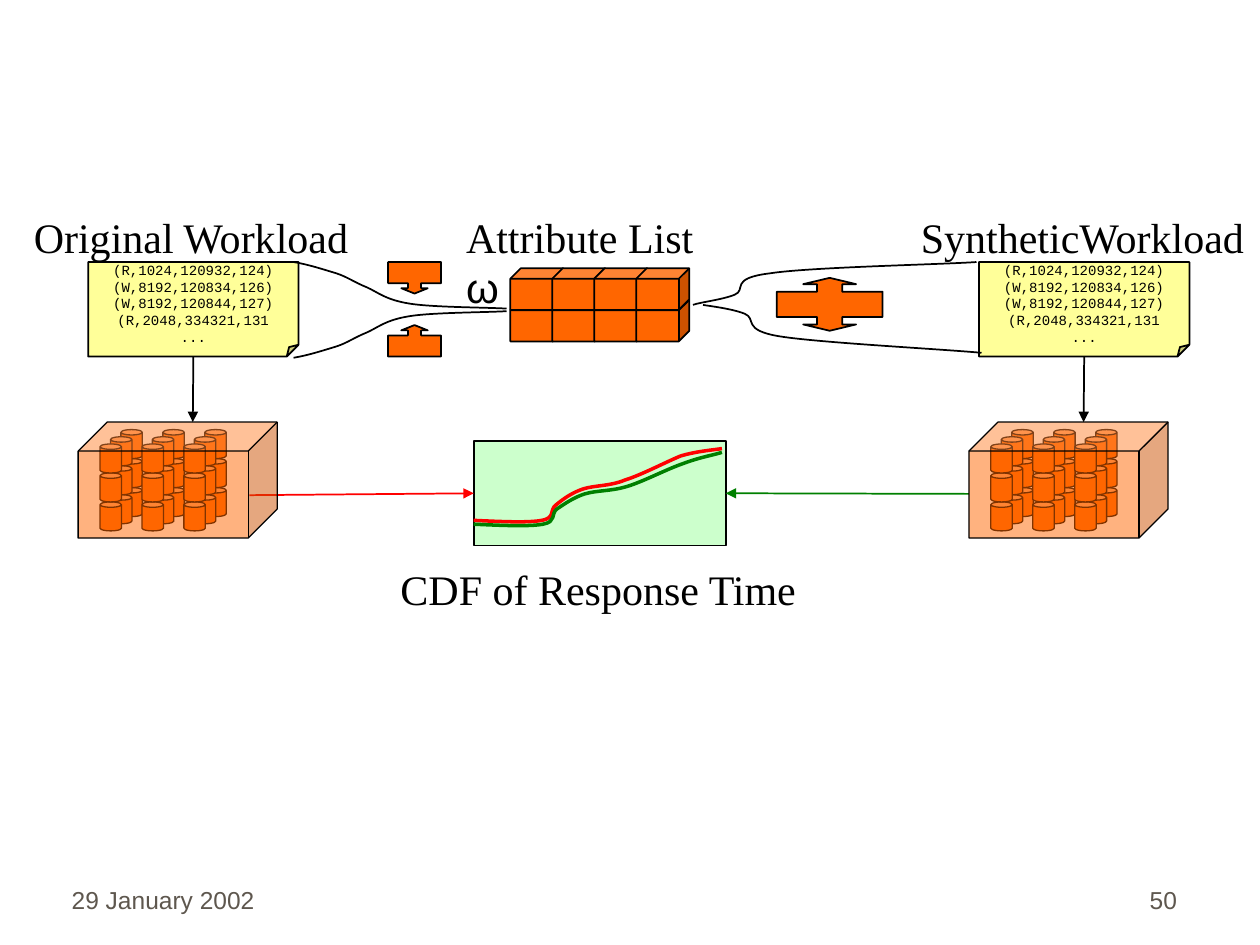
from dataclasses import dataclass
from itertools import product

from lxml.etree import SubElement
from pptx import Presentation
from pptx.dml.color import RGBColor
from pptx.enum.shapes import MSO_CONNECTOR, MSO_SHAPE
from pptx.enum.text import MSO_ANCHOR, PP_ALIGN
from pptx.oxml.ns import qn
from pptx.util import Inches, Pt


@dataclass(frozen=True)
class Theme:
    ink: str = "000000"
    orange: str = "FF6600"
    note: str = "FFFF99"
    graph: str = "CCFFCC"
    original: str = "FF0000"
    synthetic: str = "008000"
    footer: str = "5E574E"
    serif: str = "Times New Roman"
    sans: str = "Arial"
    mono: str = "Courier New"
    label_size: float = 24
    footer_size: float = 14
    trace_size: float = 8
    thin: float = 0.75
    line: float = 1
    curve: float = 2


THEME = Theme()
SYNTHETIC_SHIFT = 7.07
TRACE = ["(R,1024,120932,124)", "(W,8192,120834,126)",
         "(W,8192,120844,127)", "(R,2048,334321,131", "..."]

# Each curve lists a start point, then two handles and an end point per segment.
ORIGINAL_CDF = [
    (3.76, 4.13), (3.98, 4.14), (4.19, 4.15), (4.3, 4.13), (4.41, 4.11),
    (4.36, 4.05), (4.41, 4.01), (4.47, 3.96), (4.54, 3.91), (4.63, 3.88),
    (4.73, 3.85), (4.84, 3.86), (4.96, 3.81), (5.09, 3.77), (5.28, 3.67),
    (5.4, 3.62), (5.53, 3.58), (5.68, 3.57), (5.73, 3.56)]
SYNTHETIC_CDF = [
    (3.76, 4.16), (3.98, 4.17), (4.2, 4.18), (4.31, 4.16), (4.42, 4.14),
    (4.37, 4.08), (4.42, 4.04), (4.48, 4), (4.55, 3.95), (4.64, 3.92),
    (4.74, 3.89), (4.85, 3.9), (4.98, 3.86), (5.11, 3.82), (5.3, 3.72),
    (5.42, 3.68), (5.55, 3.63), (5.67, 3.61), (5.73, 3.59)]
FUNNEL_TOP = [
    (2.33, 2.08), (2.45, 2.1), (2.57, 2.14), (2.67, 2.17), (2.76, 2.2),
    (2.81, 2.24), (2.91, 2.28), (3, 2.32), (3.06, 2.38), (3.25, 2.41),
    (3.43, 2.44), (3.86, 2.44), (4.02, 2.45)]
FUNNEL_BOTTOM = [(x, 4.92 - y) for x, y in FUNNEL_TOP]
SPREAD_TOP = [
    (5.5, 2.42), (5.55, 2.4), (5.73, 2.38), (5.83, 2.34), (5.93, 2.3),
    (5.78, 2.21), (6.11, 2.17), (6.43, 2.12), (7.48, 2.1), (7.75, 2.08)]
SPREAD_BOTTOM = [
    (5.58, 2.42), (5.64, 2.43), (5.81, 2.45), (5.91, 2.49), (6.01, 2.53),
    (5.88, 2.62), (6.19, 2.67), (6.5, 2.72), (7.46, 2.77), (7.79, 2.8)]


def color(code):
    return RGBColor.from_string(code)


def style(shape, fill, line_width, line_color=THEME.ink):
    shape.shadow.inherit = False
    if fill:
        shape.fill.solid()
        shape.fill.fore_color.rgb = color(fill)
    else:
        shape.fill.background()
    shape.line.color.rgb = color(line_color)
    shape.line.width = Pt(line_width)


def add_block(shapes, kind, left, top, width, height, fill=THEME.orange,
              line_width=THEME.line):
    block = shapes.add_shape(kind, Inches(left), Inches(top), Inches(width), Inches(height))
    style(block, fill, line_width)
    return block


def set_adjustments(shape, **values):
    """Write the named shape guides, also those python-pptx does not list."""
    guides = shape._element.xpath("./p:spPr/a:prstGeom")[0].get_or_add_avLst()
    for guide in list(guides):
        guides.remove(guide)
    for name, value in values.items():
        SubElement(guides, qn("a:gd"), name=name, fmla=f"val {round(value * 100000)}")


def set_font(font, name, size, code):
    font.name, font.size, font.color.rgb = name, Pt(size), color(code)


def add_label(shapes, text, left, top, width, wrap=False):
    box = shapes.add_textbox(Inches(left), Inches(top), Inches(width), Inches(0.5))
    box.text_frame.word_wrap = wrap
    para = box.text_frame.paragraphs[0]
    para.add_run().text = text
    set_font(para.font, THEME.serif, THEME.label_size, THEME.ink)
    return para


def add_footer(page, text, left, align):
    box = page.shapes.add_textbox(Inches(left), Inches(6.81), Inches(2.08), Inches(0.5))
    frame = box.text_frame
    frame.word_wrap = True
    frame.vertical_anchor = MSO_ANCHOR.BOTTOM
    para = frame.paragraphs[0]
    para.text, para.alignment, para.space_before = text, align, Pt(8.8)
    set_font(para.font, THEME.sans, THEME.footer_size, THEME.footer)


def add_outline(page, points, close):
    start, *rest = [(Inches(x), Inches(y)) for x, y in points]
    builder = page.shapes.build_freeform(*start)
    builder.add_line_segments(rest, close=close)
    return builder.convert_to_shape()


def add_curve(page, points, line_color=THEME.ink, width=THEME.line):
    """Draw a Bezier curve by merging each three line steps into one cubic step."""
    curve = add_outline(page, points, close=False)
    style(curve, None, width, line_color)
    steps = curve._element.xpath(".//a:lnTo")
    for first, second, third in zip(steps[::3], steps[1::3], steps[2::3]):
        first.tag = qn("a:cubicBezTo")
        for step in (second, third):
            first.append(step[0])
            step.getparent().remove(step)


def add_expand_arrow(page, center_x=6.585, center_y=2.415):
    quarter = [(0, 0.21), (0.21, 0.16), (0.1, 0.16), (0.1, 0.1), (0.42, 0.1)]
    right = [(x, -y) for x, y in quarter] + quarter[::-1]
    ring = right + [(-x, y) for x, y in right[-2:0:-1]]
    arrow = add_outline(page, [(center_x + x, center_y + y) for x, y in ring], close=True)
    style(arrow, THEME.orange, THEME.line)


def add_arrow(page, start, end, line_color=THEME.ink):
    ends = [Inches(value) for value in (*start, *end)]
    arrow = page.shapes.add_connector(MSO_CONNECTOR.STRAIGHT, *ends)
    arrow.line.color.rgb = color(line_color)
    arrow.line.width = Pt(THEME.line)
    SubElement(arrow.line._get_or_add_ln(), qn("a:tailEnd"), type="triangle")
    SubElement(arrow._element.spPr, qn("a:effectLst"))
    return arrow


def add_disk_array(page, left):
    """Stack 3 x 3 x 3 disks, bottom and back first, inside a see-through cube."""
    shapes = page.shapes.add_group_shape().shapes
    for level, depth, column in product(range(3), repeat=3):
        add_block(shapes, MSO_SHAPE.CAN,
                  left + 0.34 + column * 0.333 - depth * 0.083,
                  3.87 - level * 0.23 + depth * 0.057,
                  0.17, 0.23, line_width=THEME.thin)
    case = add_block(shapes, MSO_SHAPE.CUBE, left, 3.35, 1.58, 0.92, line_width=THEME.thin)
    SubElement(case._element.xpath("./p:spPr/a:solidFill/a:srgbClr")[0],
               qn("a:alpha"), val="50000")


def add_workload(page, title, title_left, title_width, note_left, wrap=False):
    shapes = page.shapes.add_group_shape().shapes
    note = add_block(shapes, MSO_SHAPE.FOLDED_CORNER, note_left, 2.08, 1.67, 0.75, THEME.note)
    set_adjustments(note, adj=0.125)
    frame = note.text_frame
    frame.word_wrap = False
    frame.vertical_anchor = MSO_ANCHOR.MIDDLE
    frame.text = "\n".join(TRACE)
    for para in frame.paragraphs:
        para.alignment = PP_ALIGN.CENTER
        set_font(para.font, THEME.mono, THEME.trace_size, THEME.ink)
    add_label(shapes, title, title_left, 1.63, title_width, wrap)
    add_arrow(page, (note_left + 0.83, 2.83), (note_left + 0.83, 3.35)).begin_connect(note, 2)


def add_attribute_list(page):
    shapes = page.shapes.add_group_shape().shapes
    for column, top in product(range(4), (2.38, 2.13)):
        add_block(shapes, MSO_SHAPE.CUBE, 4.05 + column / 3, top, 0.42, 0.33)
    para = add_label(shapes, "Attribute List ", 3.6, 1.63, 2.31, wrap=True)
    omega = para.add_run()
    omega.text, omega.font.name = "ω", THEME.sans


def add_squeeze_arrows(page):
    for kind, top in ((MSO_SHAPE.DOWN_ARROW_CALLOUT, 2.08), (MSO_SHAPE.UP_ARROW_CALLOUT, 2.58)):
        arrow = add_block(page.shapes, kind, 3.08, top, 0.42, 0.25)
        set_adjustments(arrow, adj1=0.42, adj2=0.42, adj3=0.17, adj4=0.67)


def add_response_graph(page):
    add_label(page.shapes, "CDF of Response Time", 3.08, 4.42, 3.35)
    graph = add_block(page.shapes, MSO_SHAPE.RECTANGLE, 3.76, 3.5, 2, 0.83, THEME.graph)
    add_curve(page, ORIGINAL_CDF, THEME.original, THEME.curve)
    add_curve(page, SYNTHETIC_CDF, THEME.synthetic, THEME.curve)
    add_arrow(page, (1.98, 3.93), (3.76, 3.92), THEME.original).end_connect(graph, 1)
    add_arrow(page, (7.69, 3.92), (5.76, 3.92), THEME.synthetic).end_connect(graph, 3)


def main():
    deck = Presentation()
    deck.slide_width, deck.slide_height = Inches(10), Inches(7.5)
    page = deck.slides.add_slide(deck.slide_layouts[6])
    add_response_graph(page)
    for shift in (SYNTHETIC_SHIFT, 0):
        add_disk_array(page, 0.62 + shift)
    add_workload(page, "Original Workload", 0.17, 2.73, 0.7, wrap=True)
    add_attribute_list(page)
    add_squeeze_arrows(page)
    add_workload(page, "SyntheticWorkload", 7.21, 2.79, 0.7 + SYNTHETIC_SHIFT)
    add_expand_arrow(page)
    for points in (FUNNEL_TOP, FUNNEL_BOTTOM, SPREAD_TOP, SPREAD_BOTTOM):
        add_curve(page, points)
    add_footer(page, "50", 7.36, PP_ALIGN.RIGHT)
    add_footer(page, "29 January 2002", 0.47, PP_ALIGN.LEFT)
    deck.save("out.pptx")


if __name__ == "__main__":
    main()
